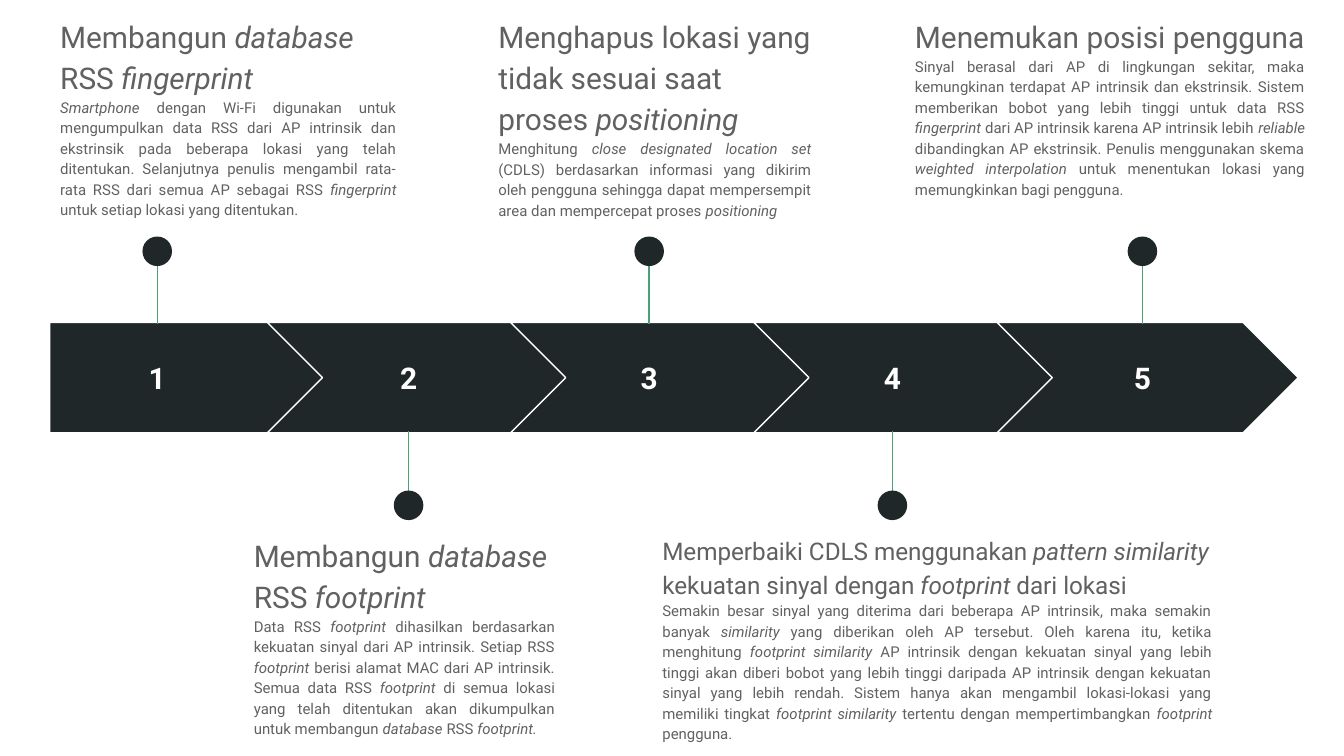
from pptx import Presentation
from pptx.dml.color import RGBColor
from pptx.enum.shapes import MSO_CONNECTOR, MSO_SHAPE as SHAPE
from pptx.enum.text import MSO_ANCHOR as ANCHOR, PP_ALIGN as ALIGN
from pptx.oxml.ns import qn
from pptx.util import Inches, Pt
from lxml.etree import SubElement

DARK = RGBColor(0x20, 0x27, 0x29)
GREEN = RGBColor(0x4B, 0xA1, 0x73)
GRAY = RGBColor(0x61, 0x61, 0x61)
WHITE = RGBColor(0xFF, 0xFF, 0xFF)
FONT = "Roboto"

# Slide of 16:9
SLIDE_WIDTH = Inches(10)
SLIDE_HEIGHT = SLIDE_WIDTH * 9 // 16

# Arrow band: a pentagon, then chevrons at an equal pitch
BAND_LEFT, BAND_TOP, BAND_HEIGHT = 0.37, 2.4, 0.82
PENTAGON_WIDTH = 2.05
CHEVRON_LEFT, CHEVRON_WIDTH, PITCH = 1.99, 2.24, 1.81
LABEL_WIDTH, LABEL_HEIGHT = 1.44, 0.51
DOT, OVERLAP = 0.22, 0.01
UPPER_DOT_TOP, LOWER_DOT_TOP = 1.76, 3.65
UPPER_TEXT_TOP, LOWER_TEXT_TOP = 0, 3.86

# Pin centre, text left, width and height, heading size, heading, body.
# Asterisks enclose italic words; odd steps stand above the band, even below.
STEPS = [
    (1.17, 0.35, 2.7, 1.61, 16,
     "Membangun *database *RSS *fingerprint*",
     "*Smartphone *dengan Wi-Fi digunakan untuk mengumpulkan data RSS dari AP "
     "intrinsik dan ekstrinsik pada beberapa lokasi yang telah ditentukan. "
     "Selanjutnya penulis mengambil rata-rata RSS dari semua AP sebagai RSS "
     "*fingerprint *untuk setiap lokasi yang ditentukan."),
    (3.04, 1.79, 2.44, 1.24, 16,
     "Membangun *database *RSS *footprint*",
     "Data RSS *footprint *dihasilkan berdasarkan kekuatan sinyal dari AP "
     "intrinsik. Setiap RSS *footprint *berisi alamat MAC dari AP intrinsik. "
     "Semua data RSS *footprint *di semua lokasi yang telah ditentukan akan "
     "dikumpulkan untuk membangun *database *RSS *footprint.*"),
    (4.83, 3.61, 2.53, 1.41, 16,
     "Menghapus lokasi yang tidak sesuai saat proses *positioning*",
     "Menghitung *close designated location set *(CDLS) berdasarkan informasi "
     "yang dikirim oleh pengguna sehingga dapat mempersempit area dan "
     "mempercepat proses *positioning*"),
    (6.64, 4.83, 4.29, 1.24, 13,
     "Memperbaiki CDLS menggunakan* pattern similarity *kekuatan sinyal "
     "dengan *footprint *dari lokasi",
     "Semakin besar sinyal yang diterima dari beberapa AP intrinsik, maka "
     "semakin banyak *similarity *yang diberikan oleh AP tersebut. Oleh karena "
     "itu, ketika menghitung *footprint similarity *AP intrinsik dengan "
     "kekuatan sinyal yang lebih tinggi akan diberi bobot yang lebih tinggi "
     "daripada AP intrinsik dengan kekuatan sinyal yang lebih rendah. Sistem "
     "hanya akan mengambil lokasi-lokasi yang memiliki tingkat *footprint "
     "similarity *tertentu dengan mempertimbangkan *footprint *pengguna."),
    (8.5, 6.71, 3.1, 1.51, 16,
     "Menemukan posisi pengguna",
     "Sinyal berasal dari AP di lingkungan sekitar, maka kemungkinan terdapat "
     "AP intrinsik dan ekstrinsik. Sistem memberikan bobot yang lebih tinggi "
     "untuk data RSS *fingerprint *dari AP intrinsik karena AP intrinsik lebih "
     "*reliable *dibandingkan AP ekstrinsik. Penulis menggunakan skema "
     "*weighted interpolation *untuk menentukan lokasi yang memungkinkan bagi "
     "pengguna."),
]


def add_box(slide, left, top, width, height, anchor=ANCHOR.TOP):
    box = slide.shapes.add_textbox(*map(Inches, (left, top, width, height)))
    frame = box.text_frame
    frame.word_wrap = True
    frame.vertical_anchor = anchor
    frame.margin_left = frame.margin_right = Inches(0.1)
    frame.margin_top = frame.margin_bottom = Inches(0.1)
    return frame


def write(paragraph, text, size, color=GRAY, bold=False, align=ALIGN.LEFT,
          spacing=1.15):
    """Fill a paragraph; text between asterisks becomes italic."""
    paragraph.alignment = align
    paragraph.line_spacing = spacing
    for index, part in enumerate(text.split("*")):
        if part:
            run = paragraph.add_run()
            run.text = part
            font = run.font
            font.name, font.size, font.bold = FONT, Pt(size), bold
            font.italic = index % 2 == 1
            font.color.rgb = color


def add_filled(slide, kind, left, top, width, height, outline=None):
    shape = slide.shapes.add_shape(
        kind, *map(Inches, (left, top, width, height)))
    shape.shadow.inherit = False
    shape.fill.solid()
    shape.fill.fore_color.rgb = DARK
    if outline is None:
        shape.line.fill.background()
    else:
        shape.line.color.rgb = outline
        shape.line.width = Pt(0.75)
    return shape


def add_arrow(slide, index):
    if index == 0:
        kind, left, width = SHAPE.PENTAGON, BAND_LEFT, PENTAGON_WIDTH
    else:
        kind, width = SHAPE.CHEVRON, CHEVRON_WIDTH
        left = CHEVRON_LEFT + (index - 1) * PITCH
    arrow = add_filled(slide, kind, left, BAND_TOP, width, BAND_HEIGHT, WHITE)
    arrow.adjustments[0] = 0.5


def add_number(slide, number, center):
    top = BAND_TOP + (BAND_HEIGHT - LABEL_HEIGHT) / 2
    frame = add_box(slide, center - LABEL_WIDTH / 2, top,
                    LABEL_WIDTH, LABEL_HEIGHT, ANCHOR.MIDDLE)
    write(frame.paragraphs[0], str(number), 16, color=WHITE, bold=True,
          align=ALIGN.CENTER, spacing=1.0)


def add_pin(slide, center, above):
    if above:
        dot_top, start = UPPER_DOT_TOP, 1.8
        end = BAND_TOP + OVERLAP
    else:
        dot_top, start = LOWER_DOT_TOP, 3.82
        end = BAND_TOP + BAND_HEIGHT - OVERLAP
    line = slide.shapes.add_connector(
        MSO_CONNECTOR.STRAIGHT, *map(Inches, (center, start, center, end)))
    line.line.color.rgb = GREEN
    line.line.width = Pt(0.75)
    SubElement(line.element.spPr, qn("a:effectLst"))
    add_filled(slide, SHAPE.OVAL, center - DOT / 2, dot_top, DOT, DOT)


def add_description(slide, left, top, width, height, size, heading, body):
    frame = add_box(slide, left, top, width, height)
    write(frame.paragraphs[0], heading, size)
    write(frame.add_paragraph(), body, 8, align=ALIGN.JUSTIFY)


def main():
    presentation = Presentation()
    presentation.slide_width = SLIDE_WIDTH
    presentation.slide_height = SLIDE_HEIGHT
    slide = presentation.slides.add_slide(presentation.slide_layouts[6])

    for index, step in enumerate(STEPS):
        center, left, width, height, size, heading, body = step
        above = index % 2 == 0
        add_arrow(slide, index)
        add_number(slide, index + 1, center)
        add_pin(slide, center, above)
        top = UPPER_TEXT_TOP if above else LOWER_TEXT_TOP
        add_description(slide, left, top, width, height, size, heading, body)

    presentation.save("out.pptx")


if __name__ == "__main__":
    main()
